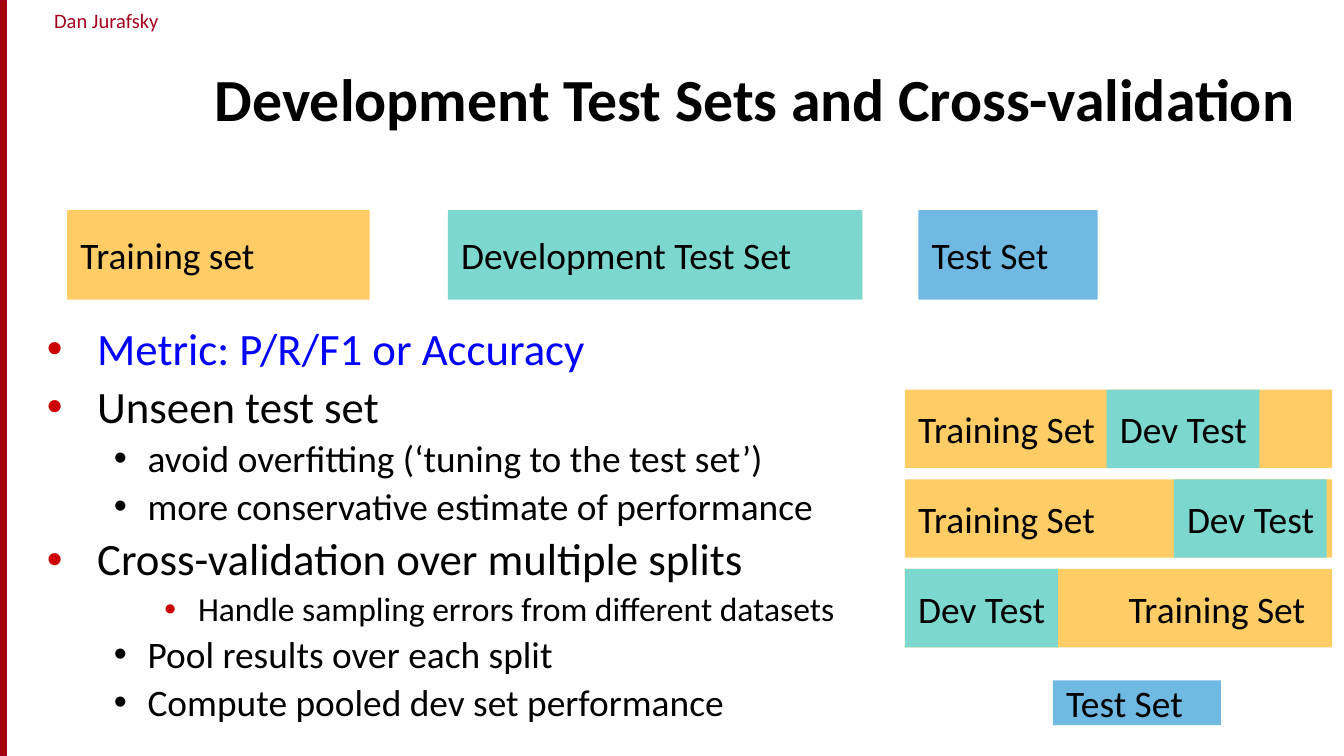
from dataclasses import dataclass

from lxml import etree
from pptx import Presentation
from pptx.dml.color import RGBColor
from pptx.enum.shapes import MSO_SHAPE
from pptx.enum.text import MSO_ANCHOR, PP_ALIGN
from pptx.oxml.ns import qn
from pptx.util import Inches, Pt

RECTANGLE = MSO_SHAPE.RECTANGLE
TOP, MIDDLE, BOTTOM = MSO_ANCHOR.TOP, MSO_ANCHOR.MIDDLE, MSO_ANCHOR.BOTTOM
LEFT, CENTER, RIGHT = PP_ALIGN.LEFT, PP_ALIGN.CENTER, PP_ALIGN.RIGHT
UNIT = 1 / 12  # inches in one grid column or row
COLUMNS, ROWS = 120, 67.5


@dataclass(frozen=True)
class Theme:
    font: str = "Calibri"
    ink: str = "000000"
    metric: str = "0000FF"
    bullet: str = "CC0000"
    author: str = "A4001D"
    bar: str = "A40508"
    training: str = "FFCC66"
    development: str = "7CD7CF"
    test: str = "70B9E3"
    title_size: int = 32
    label_size: int = 20
    author_size: int = 11
    body_sizes: tuple = (24, 20, 18)


def grid(*cells):
    return [Inches(cell * UNIT) for cell in cells]


def set_format(target, values):
    for name, value in values.items():
        setattr(target, name, value)


class SlideBuilder:
    def __init__(self, page, theme):
        self.page = page
        self.theme = theme

    def add_span(self, para, text, size, color=None, bold=False):
        span = para.add_run()
        span.text = text
        set_format(span.font, {"name": self.theme.font, "size": Pt(size),
                               "bold": bold})
        span.font.color.rgb = RGBColor.from_string(color or self.theme.ink)

    def frame(self, shape, anchor, side=0.1, right=0.0):
        set_format(shape.text_frame, {
            "word_wrap": True, "vertical_anchor": anchor,
            "margin_left": Inches(side), "margin_right": Inches(right),
            "margin_top": 0, "margin_bottom": 0})
        return shape.text_frame

    def rectangle(self, cells, fill, line=None):
        box = self.page.shapes.add_shape(RECTANGLE, *grid(*cells))
        box.shadow.inherit = False
        box.fill.solid()
        box.fill.fore_color.rgb = RGBColor.from_string(fill)
        if line:
            box.line.color.rgb = RGBColor.from_string(line)
            box.line.width = Pt(0.75)
        else:
            box.line.fill.background()
        return box

    def label_box(self, cells, text, fill, align=LEFT, right=0.0):
        frame = self.frame(self.rectangle(cells, fill), MIDDLE, right=right)
        para = frame.paragraphs[0]
        para.alignment = align
        self.add_span(para, text, self.theme.label_size)

    def text_box(self, cells, text, size, color=None, bold=False,
                 align=LEFT, anchor=TOP, side=0.1):
        box = self.page.shapes.add_textbox(*grid(*cells))
        para = self.frame(box, anchor, side).paragraphs[0]
        para.alignment = align
        self.add_span(para, text, size, color, bold)

    def bullets(self, cells, items):
        box = self.page.shapes.add_textbox(*grid(*cells))
        frame = self.frame(box, TOP)
        for index, (level, text, color) in enumerate(items):
            para = frame.add_paragraph() if index else frame.paragraphs[0]
            size = self.theme.body_sizes[level]
            set_format(para, {
                "line_spacing": 0.9,
                "space_before": Pt(0.2 * size if index else 0)})
            self.mark(para, level)
            self.add_span(para, text, size, color)

    def mark(self, para, level):
        hang = 0.25 if level else 0.375
        props = para._p.get_or_add_pPr()
        props.set("marL", str(Inches(0.375 * (level + 1))))
        props.set("indent", str(-Inches(hang)))
        tint = self.theme.ink if level == 1 else self.theme.bullet
        color = etree.SubElement(props, qn("a:buClr"))
        etree.SubElement(color, qn("a:srgbClr"), val=tint)
        etree.SubElement(props, qn("a:buFont"), typeface="Arial")
        etree.SubElement(props, qn("a:buChar"), char="•")


def main():
    deck = Presentation()
    deck.slide_width, deck.slide_height = grid(COLUMNS, ROWS)
    theme = Theme()
    builder = SlideBuilder(deck.slides.add_slide(deck.slide_layouts[6]), theme)

    # Side bar, author and title
    builder.rectangle((0, 0, 0.6, ROWS), theme.bar, theme.author)
    builder.text_box((1, 0.7, 17, 2.4), "Dan Jurafsky", theme.author_size,
                     theme.author, align=CENTER, side=0)
    builder.text_box((18, 2.8, 102, 9.1),
                     "Development Test Sets and Cross-validation",
                     theme.title_size, bold=True, anchor=BOTTOM)

    # Bullet list
    builder.bullets((3, 29.2, 95, 38), [
        (0, "Metric: P/R/F1 or Accuracy", theme.metric),
        (0, "Unseen test set", theme.ink),
        (1, "avoid overfitting (‘tuning to the test set’)", theme.ink),
        (1, "more conservative estimate of performance", theme.ink),
        (0, "Cross-validation over multiple splits", theme.ink),
        (2, "Handle sampling errors from different datasets", theme.ink),
        (1, "Pool results over each split", theme.ink),
        (1, "Compute pooled dev set performance", theme.ink),
    ])

    # Three data sets across the top
    for left, width, text, fill in [
        (6, 27, "Training set", theme.training),
        (40, 37, "Development Test Set", theme.development),
        (82, 16, "Test Set", theme.test),
    ]:
        builder.label_box((left, 18.75, width, 8), text, fill)

    # Cross-validation splits: the development part moves in each row
    split_left, split_top, split_height, split_step = 80.8, 34.8, 7, 8
    for row, (offset, align, right) in enumerate([
        (18, LEFT, 0), (24, LEFT, 0), (0, RIGHT, 0.2),
    ]):
        top = split_top + row * split_step
        builder.label_box((split_left, top, 38.15, split_height),
                          "Training Set", theme.training, align, right)
        builder.label_box((split_left + offset, top, 13.65, split_height),
                          "Dev Test", theme.development)

    # Held-out test set under the splits
    builder.label_box((94, 60.75, 15, 4), "Test Set", theme.test)

    deck.save("out.pptx")


if __name__ == "__main__":
    main()
